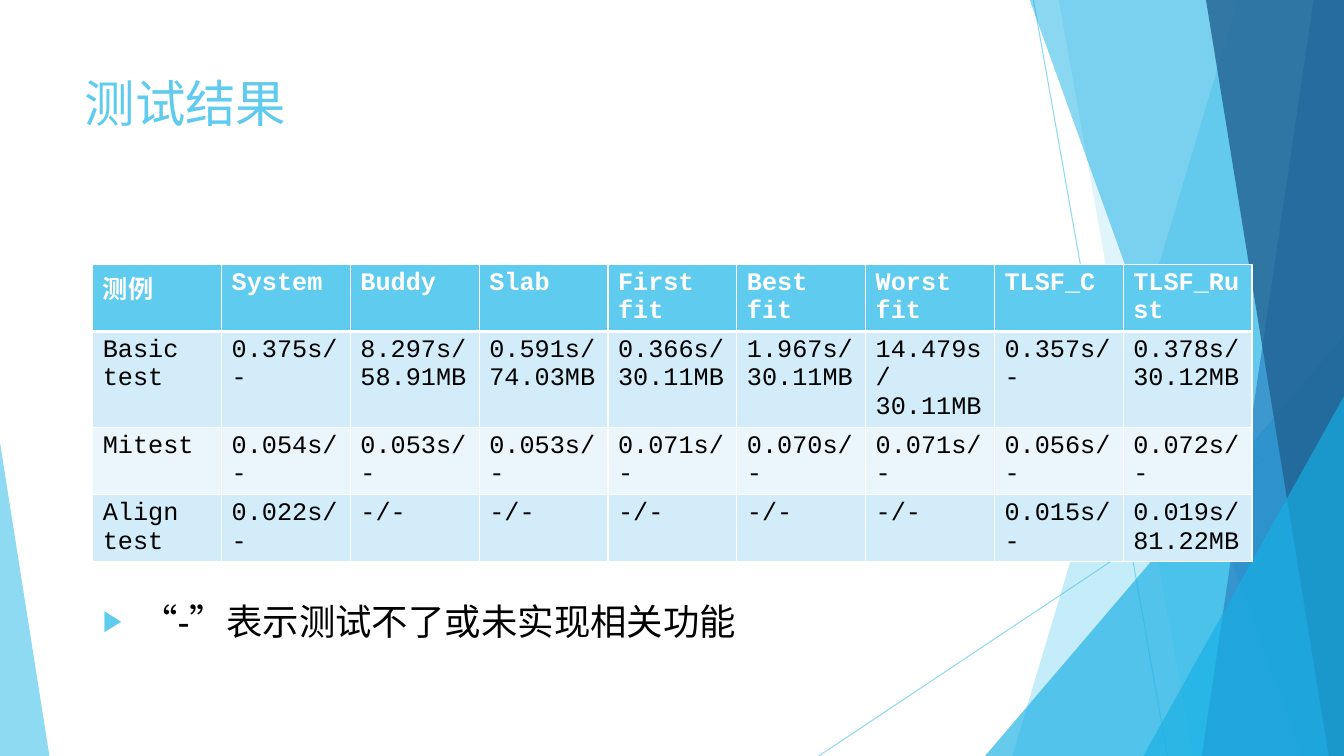
from lxml import etree
from pptx import Presentation
from pptx import util as u
from pptx.dml.color import RGBColor
from pptx.enum import shapes, text
from pptx.oxml import ns

SKY = RGBColor(0x5F, 0xCB, 0xEF)
CYAN = RGBColor(0x17, 0xB0, 0xE4)
BLUE = RGBColor(0x2E, 0x83, 0xC3)
NAVY = RGBColor(0x22, 0x62, 0x92)
BAND = RGBColor(0xD2, 0xEC, 0xF9)
PALE = RGBColor(0xEA, 0xF6, 0xFC)
WHITE = RGBColor(0xFF, 0xFF, 0xFF)
BLACK = RGBColor(0, 0, 0)
MONO = "Courier New"

deck = Presentation()
deck.slide_width, deck.slide_height = u.Inches(13.33), u.Inches(7.5)
W, H = 13.33, 7.5
slide = deck.slides.add_slide(deck.slide_layouts[1])
tree = slide.shapes
title, body = slide.placeholders


def tint(fill, color, alpha):
    """Solid fill with an opacity in percent."""
    fill.solid()
    fill.fore_color.rgb = color
    node = fill._xPr.find(".//" + ns.qn("a:srgbClr"))
    etree.SubElement(node, ns.qn("a:alpha"), val=str(alpha * 1000))


def write(para, words, size, face, color, bold=False):
    """Add one styled run, left aligned."""
    para.alignment = text.PP_ALIGN.LEFT
    run = para.add_run()
    run.text = words
    run.font.size, run.font.name, run.font.bold = u.Pt(size), face, bold
    run.font.color.rgb = color


# Thin rays
for x1, y1, x2, y2 in [(10.25, 0, 11.58, H), (W, 4.03, 8.12, H)]:
    ray = tree.add_connector(shapes.MSO_CONNECTOR.STRAIGHT,
                             *map(u.Inches, (x1, y1, x2, y2)))
    ray.line.width = u.Pt(0.75)
    tint(ray.line.fill, SKY, 70)
    etree.SubElement(ray._element.spPr, ns.qn("a:effectLst"))

# Facets: bands run from the top edge (x) to the bottom edge (x) and fill to
# the right; triangles are left, top, width and the side of the tip
facets = [
    ("band", (12.28, 10.04), SKY, 36),
    ("band", (10.5, 11.83), SKY, 20),
    ("tip", (9.77, 3.33, 3.56, 1), CYAN, 66),
    ("band", (10.21, 12.91), CYAN, 50),
    ("band", (13.03, 11.92), BLUE, 70),
    ("band", (11.96, 13.18), NAVY, 80),
    ("tip", (11.34, 3.93, 1.99, 1), CYAN, 66),
    ("tip", (0, 4.39, 0.49, 0), SKY, 70),
]
for kind, spot, color, alpha in facets:
    if kind == "band":
        top, foot = spot
        pts = [(u.Inches(x), u.Inches(y)) for x, y in
               [(top, -0.01), (W, -0.01), (W, H), (foot, H)]]
        pen = tree.build_freeform(*pts[0])
        pen.add_line_segments(pts[1:], close=True)
        facet = pen.convert_to_shape()
    else:
        x, y, wide, side = spot
        facet = tree.add_shape(shapes.MSO_SHAPE.ISOSCELES_TRIANGLE,
                               *map(u.Inches, (x, y, wide, H - y)))
        facet.adjustments[0] = side
    tint(facet.fill, color, alpha)
    facet.line.fill.background()
    facet.shadow.inherit = False

# Title and note, placed in front of the facets
for box, spot in [(title, (0.74, 0.67, 9.4, 1.44)),
                  (body, (0.92, 5.89, 9.77, 0.94))]:
    box.left, box.top, box.width, box.height = map(u.Inches, spot)
    box.text_frame.vertical_anchor = text.MSO_ANCHOR.TOP
    box.text_frame.auto_size = text.MSO_AUTO_SIZE.NONE
    box.text_frame.word_wrap = True
    tree._spTree.append(box._element)
write(title.text_frame.paragraphs[0], "测试结果", 36, MONO, SKY)

note = body.text_frame.paragraphs[0]
write(note, "“-”表示测试不了或未实现相关功能", 26, "Arial", BLACK)
note.space_before = u.Pt(10)
props = note._p.get_or_add_pPr()
props.set("marL", str(u.Inches(0.38)))
props.set("indent", str(u.Inches(-0.38)))
hue = etree.SubElement(props, ns.qn("a:buClr"))
etree.SubElement(hue, ns.qn("a:srgbClr"), val=str(SKY))
etree.SubElement(props, ns.qn("a:buSzPct"), val="80000")
etree.SubElement(props, ns.qn("a:buFont"), typeface="Arial")
etree.SubElement(props, ns.qn("a:buChar"), char="▶")

# Results table
rows = [
    ["测例", "System", "Buddy", "Slab", "First fit", "Best fit", "Worst fit",
     "TLSF_C", "TLSF_Rust"],
    ["Basic test", "0.375s/-", "8.297s/58.91MB", "0.591s/74.03MB",
     "0.366s/30.11MB", "1.967s/30.11MB", "14.479s/30.11MB", "0.357s/-",
     "0.378s/30.12MB"],
    ["Mitest", "0.054s/-", "0.053s/-", "0.053s/-", "0.071s/-", "0.070s/-",
     "0.071s/-", "0.056s/-", "0.072s/-"],
    ["Align test", "0.022s/-"] + ["-/-"] * 5 + ["0.015s/-", "0.019s/81.22MB"],
]
fills = [SKY, BAND, PALE, BAND]
grid = tree.add_table(len(rows), len(rows[0]), u.Inches(0.92), u.Inches(2.62),
                      u.Inches(11.5), u.Inches(2.4)).table
for r, row in enumerate(rows):
    for c, words in enumerate(row):
        cell = grid.cell(r, c)
        head = r == 0
        write(cell.text_frame.paragraphs[0], words, 18, MONO,
              WHITE if head else BLACK, head)
        for side in "LRTB":
            thick = 3 if (r, side) in [(0, "B"), (1, "T")] else 1
            edge = etree.SubElement(cell._tc.get_or_add_tcPr(),
                                    ns.qn("a:ln" + side), w=str(u.Pt(thick)))
            ink = etree.SubElement(edge, ns.qn("a:solidFill"))
            etree.SubElement(ink, ns.qn("a:srgbClr"), val=str(WHITE))
        cell.fill.solid()
        cell.fill.fore_color.rgb = fills[r]

deck.save("out.pptx")
